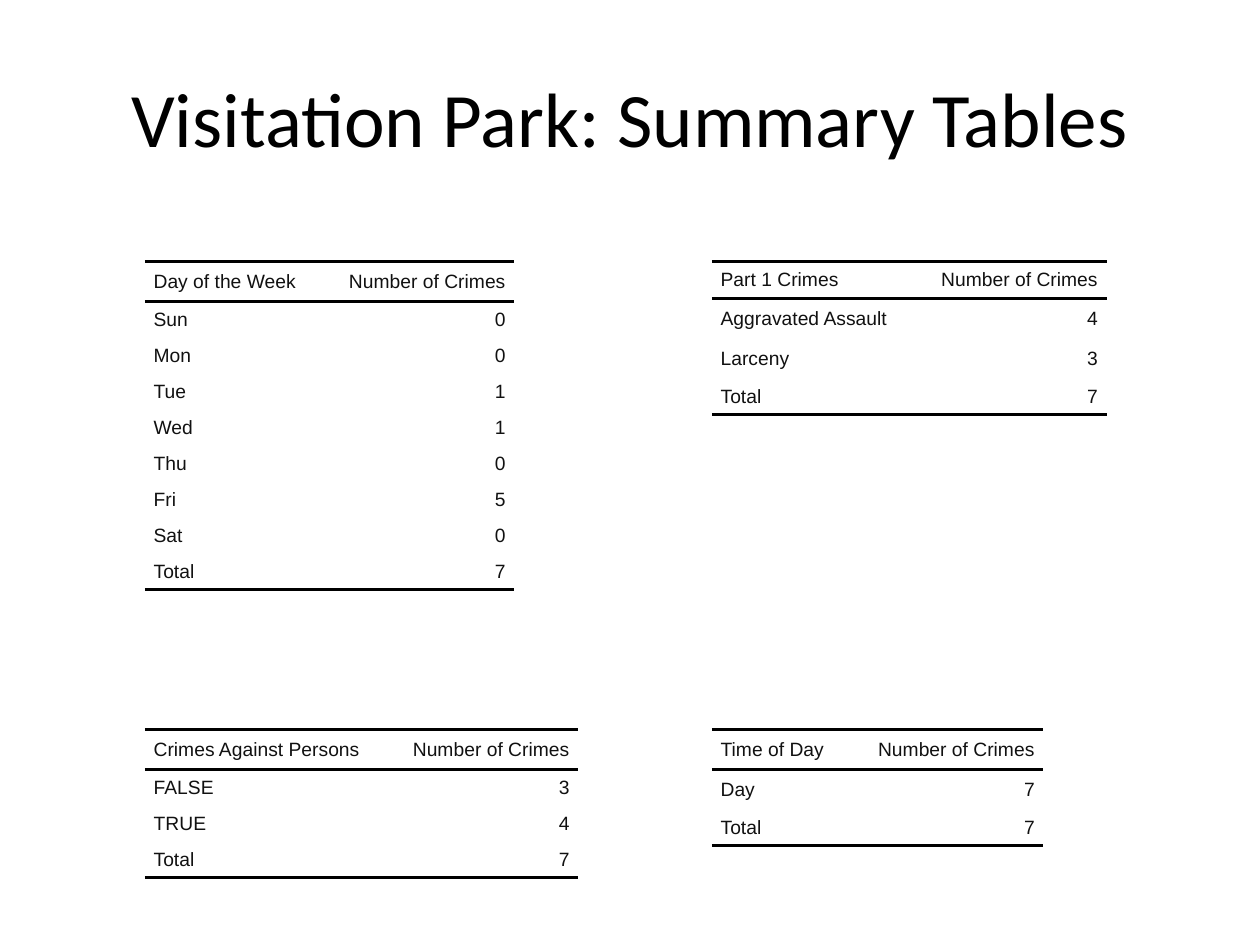
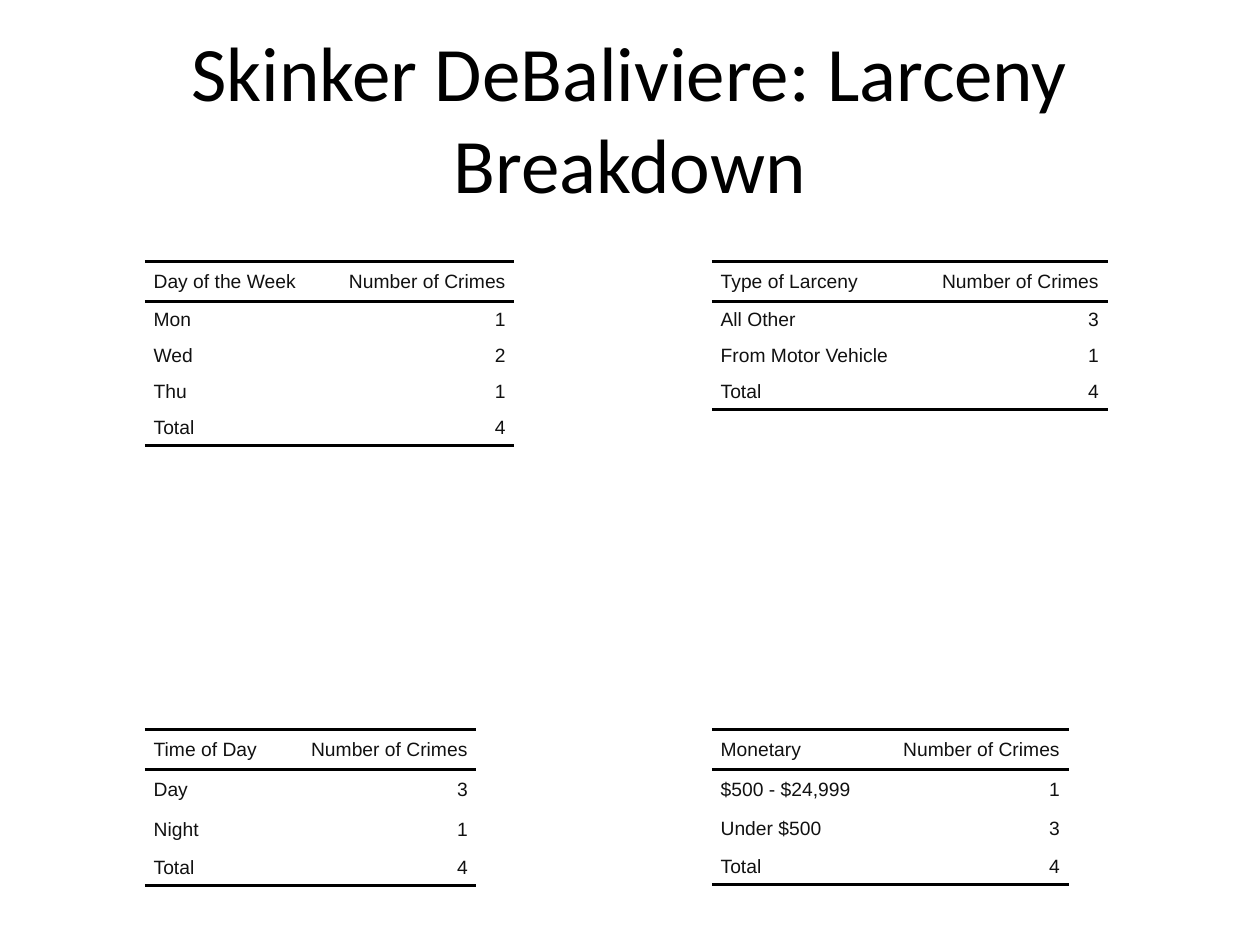
from dataclasses import dataclass

from lxml.etree import SubElement as Sub
from pptx import Presentation
from pptx.dml.color import RGBColor as RGB
from pptx.enum.text import MSO_ANCHOR as Anchor, PP_ALIGN as Align
from pptx.oxml.ns import qn
from pptx.util import Pt


@dataclass(frozen=True)
class Theme:
    black: str = "000000"
    ink: str = "111111"
    head_font: str = "Calibri"
    body_font: str = "Arial"
    head_size: float = 44
    body_size: float = 11
    rule: float = 2
    pad: float = 5
    gap: float = 2
    plain: str = "{2D5ABB26-0587-4C30-8999-92F81FD0307C}"


LEFT, RIGHT = 82.8, 406.8
TOP, LOW = 149.6, 416.9
COUNT = "Number of Crimes"
COUNT_W = 109.5
TALL, SHORT = 22.86, 20.57


class Deck:
    def __init__(self, theme):
        self.theme = theme
        self.prs = Presentation()
        self.prs.slide_width, self.prs.slide_height = Pt(720), Pt(540)
        self.slide = None

    def page(self, title):
        self.slide = self.prs.slides.add_slide(self.prs.slide_layouts[6])
        box = self.slide.shapes.add_textbox(Pt(36), Pt(21.6), Pt(648), Pt(90))
        frame = box.text_frame
        frame.word_wrap = True
        frame.vertical_anchor = Anchor.MIDDLE
        t = self.theme
        para = frame.paragraphs[0]
        para.alignment = Align.CENTER
        self.run(para, title, t.head_font, t.head_size, t.black)

    def run(self, para, text, font, size, color):
        run = para.add_run()
        run.text = text
        run.font.name, run.font.size = font, Pt(size)
        run.font.color.rgb = RGB.from_string(color)

    def table(self, x, y, name, width, data, tops=(TALL,)):
        """Ruled table; tops holds the heights of its first rows."""
        rows = [(name, COUNT), *data, ("Total", sum(n for _, n in data))]
        frame = self.slide.shapes.add_table(
            len(rows), 2, Pt(x), Pt(y), Pt(288), Pt(216))
        table = frame.table
        table.first_row = table.horz_banding = False
        table._tbl.tblPr.find(qn("a:tableStyleId")).text = self.theme.plain
        for col, wide in zip(table.columns, (width, COUNT_W)):
            col.width = Pt(wide)
        last = len(rows) - 1
        for i, row in enumerate(rows):
            table.rows[i].height = Pt(tops[i] if i < len(tops) else SHORT)
            sides = {0: ("lnT", "lnB"), last: ("lnB",)}.get(i, ())
            for j, value in enumerate(row):
                align = Align.RIGHT if j else Align.LEFT
                self.cell(table.cell(i, j), str(value), align, sides)
        frame.width, frame.height = Pt(288), Pt(216)

    def cell(self, cell, text, align, sides):
        t = self.theme
        cell.margin_left = cell.margin_right = 0
        cell.margin_top = cell.margin_bottom = 0
        cell.vertical_anchor = Anchor.MIDDLE
        for side in sides:
            self.edge(cell, side)
        cell.fill.background()
        para = cell.text_frame.paragraphs[0]
        para.alignment = align
        para.space_before = para.space_after = Pt(t.gap)
        props = para._p.get_or_add_pPr()
        for key in ("marL", "marR"):
            props.set(key, str(Pt(t.pad)))
        props.set("indent", "0")
        self.run(para, text, t.body_font, t.body_size, t.ink)

    def edge(self, cell, side):
        props = cell._tc.get_or_add_tcPr()
        line = Sub(props, qn(f"a:{side}"), w=str(Pt(self.theme.rule)))
        fill = Sub(line, qn("a:solidFill"))
        Sub(fill, qn("a:srgbClr"), val=self.theme.black)


def main():
    deck = Deck(Theme())

    deck.page("Visitation Park: Summary Tables")
    deck.table(RIGHT, TOP, "Part 1 Crimes", 116.1,
               [("Aggravated Assault", 4), ("Larceny", 3)],
               (21.1, TALL, TALL))
    days = ("Sun", "Mon", "Tue", "Wed", "Thu", "Fri", "Sat")
    deck.table(LEFT, TOP, "Day of the Week", 101.7,
               list(zip(days, (0, 0, 1, 1, 0, 5, 0))))
    deck.table(LEFT, LOW, "Crimes Against Persons", 138.2,
               [("FALSE", 3), ("TRUE", 4)])
    deck.table(RIGHT, LOW, "Time of Day", 80, [("Day", 7)], (TALL, TALL))

    deck.page("Skinker DeBaliviere: Larceny Breakdown")
    deck.table(LEFT, TOP, "Day of the Week", 101.7,
               [("Mon", 1), ("Wed", 2), ("Thu", 1)])
    deck.table(LEFT, LOW, "Time of Day", 80,
               [("Day", 3), ("Night", 1)], (TALL, TALL, TALL))
    deck.table(RIGHT, TOP, "Type of Larceny", 116.6,
               [("All Other", 3), ("From Motor Vehicle", 1)])
    deck.table(RIGHT, LOW, "Monetary", 94.4,
               [("$500 - $24,999", 1), ("Under $500", 3)],
               (TALL, TALL, 22.3))

    deck.prs.save("out.pptx")


if __name__ == "__main__":
    main()
